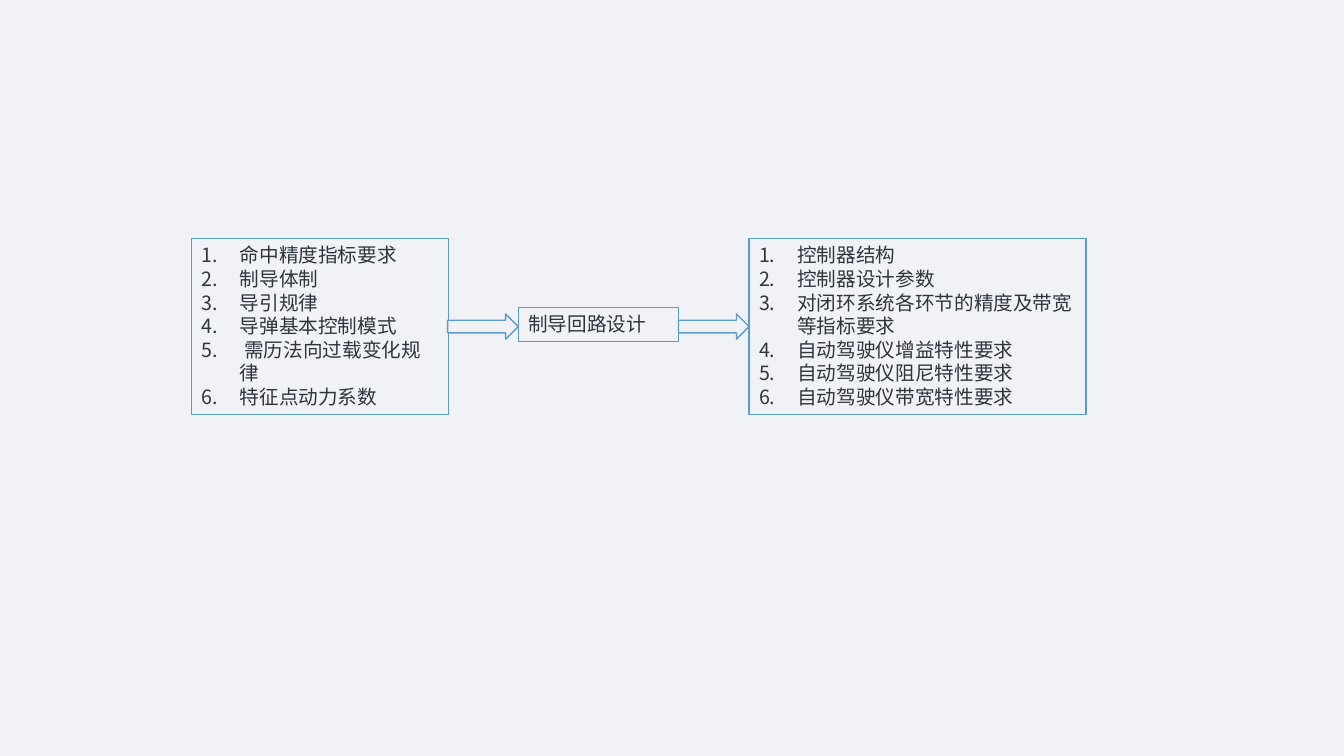
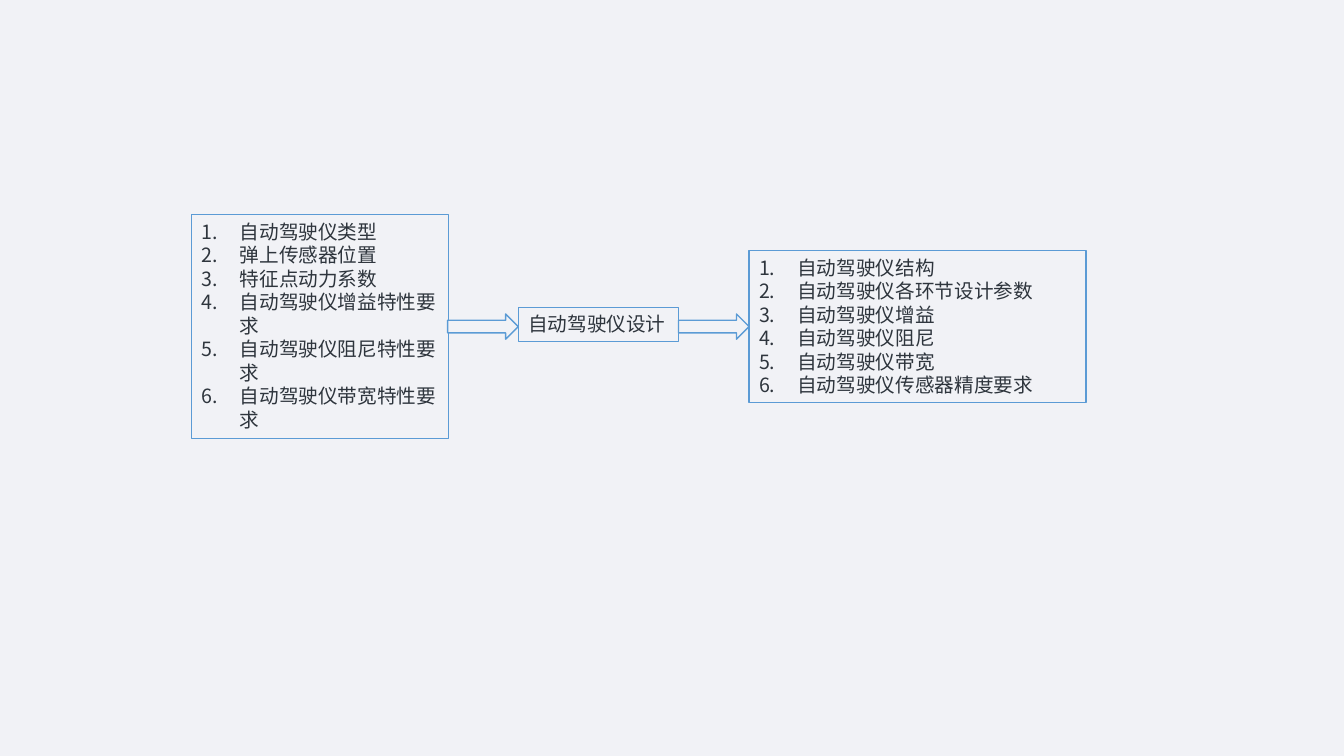
from pptx import Presentation
from pptx.dml.color import RGBColor
from pptx.enum.shapes import MSO_SHAPE
from pptx.enum.text import MSO_ANCHOR, MSO_AUTO_SIZE, PP_ALIGN
from pptx.oxml.ns import qn
from pptx.util import Inches, Pt
from lxml.etree import SubElement

COLORS = {"background": "F1F2F6", "outline": "5B9BD5", "text": "2E353D"}
FONT = "Noto Sans CJK SC"
MIDLINE = 3.24
ARROW_WIDTH, ARROW_HEIGHT = 0.7, 0.25
INPUT_LEFT, INPUT_WIDTH = 1.9, 2.55
DESIGN_LEFT, DESIGN_WIDTH, DESIGN_TOP, DESIGN_HEIGHT = 5.14, 1.59, 3.05, 0.34
OUTPUT_LEFT, OUTPUT_WIDTH = 7.43, 3.34

FLOWS = [
    {
        "inputs": ["命中精度指标要求", "制导体制", "导引规律", "导弹基本控制模式",
                   " 需历法向过载变化规律", "特征点动力系数"],
        "input_height": 1.75,
        "design": "制导回路设计",
        "outputs": ["控制器结构", "控制器设计参数", "对闭环系统各环节的精度及带宽等指标要求",
                    "自动驾驶仪增益特性要求", "自动驾驶仪阻尼特性要求", "自动驾驶仪带宽特性要求"],
        "output_height": 1.75,
    },
    {
        "inputs": ["自动驾驶仪类型", "弹上传感器位置", "特征点动力系数",
                   "自动驾驶仪增益特性要求", "自动驾驶仪阻尼特性要求", "自动驾驶仪带宽特性要求"],
        "input_height": 2.22,
        "design": "自动驾驶仪设计",
        "outputs": ["自动驾驶仪结构", "自动驾驶仪各环节设计参数", "自动驾驶仪增益",
                    "自动驾驶仪阻尼", "自动驾驶仪带宽", "自动驾驶仪传感器精度要求"],
        "output_height": 1.51,
    },
]


def add_outlined_shape(slide, kind, left, top, width, height):
    shape = slide.shapes.add_shape(kind, Inches(left), Inches(top), Inches(width), Inches(height))
    shape.shadow.inherit = False
    shape.fill.solid()
    shape.fill.fore_color.rgb = RGBColor.from_string(COLORS["background"])
    shape.line.color.rgb = RGBColor.from_string(COLORS["outline"])
    shape.line.width = Pt(1)
    return shape


def add_text_box(slide, left, top, width, height, lines, numbered):
    shape = add_outlined_shape(slide, MSO_SHAPE.RECTANGLE, left, top, width, height)
    frame = shape.text_frame
    frame.word_wrap = True
    frame.auto_size = MSO_AUTO_SIZE.SHAPE_TO_FIT_TEXT
    frame.vertical_anchor = MSO_ANCHOR.TOP
    frame.text = "\n".join(lines)
    for paragraph in frame.paragraphs:
        paragraph.alignment = PP_ALIGN.LEFT
        paragraph.font.size = Pt(14)
        paragraph.font.color.rgb = RGBColor.from_string(COLORS["text"])
        paragraph.font.name = FONT
        properties = paragraph._p.get_or_add_pPr()
        SubElement(properties.find(qn("a:defRPr")), qn("a:ea"), typeface=FONT)
        if numbered:
            properties.set("marL", str(Inches(0.38)))
            properties.set("indent", str(-Inches(0.38)))
            numbering = SubElement(properties, qn("a:buAutoNum"), type="arabicPeriod")
            properties.insert(0, numbering)


presentation = Presentation()
presentation.slide_width = Inches(13.33)
presentation.slide_height = Inches(7.5)
background = presentation.slide_master.background.fill
background.solid()
background.fore_color.rgb = RGBColor.from_string(COLORS["background"])
blank_layout = presentation.slide_layouts[6]

for flow in FLOWS:
    slide = presentation.slides.add_slide(blank_layout)
    add_text_box(slide, INPUT_LEFT, MIDLINE - flow["input_height"] / 2, INPUT_WIDTH,
                 flow["input_height"], flow["inputs"], True)
    add_text_box(slide, DESIGN_LEFT, DESIGN_TOP, DESIGN_WIDTH, DESIGN_HEIGHT,
                 [flow["design"]], False)
    add_text_box(slide, OUTPUT_LEFT, MIDLINE - flow["output_height"] / 2, OUTPUT_WIDTH,
                 flow["output_height"], flow["outputs"], True)
    for target_left in (DESIGN_LEFT, OUTPUT_LEFT):
        add_outlined_shape(slide, MSO_SHAPE.RIGHT_ARROW, target_left - ARROW_WIDTH,
                           MIDLINE - ARROW_HEIGHT / 2, ARROW_WIDTH, ARROW_HEIGHT)

presentation.save("out.pptx")
